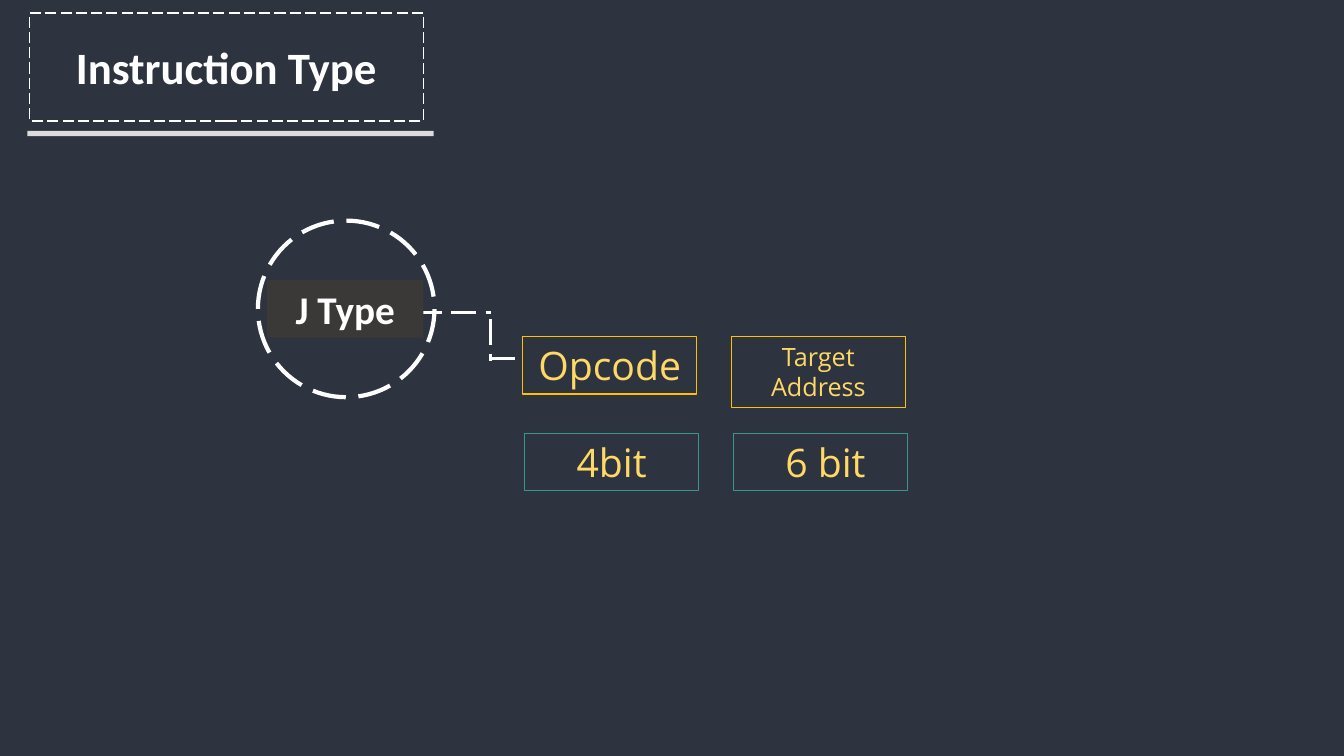
"""Build the instruction type slide: the fields of a J Type instruction."""
from lxml import etree
from pptx import Presentation
from pptx.dml.color import RGBColor
from pptx.enum.dml import MSO_LINE
from pptx.enum.shapes import MSO_CONNECTOR, MSO_SHAPE
from pptx.enum.text import MSO_ANCHOR, PP_ALIGN
from pptx.oxml.ns import qn
from pptx.util import Cm, Pt

RECT, OVAL = MSO_SHAPE.RECTANGLE, MSO_SHAPE.OVAL
STRAIGHT = MSO_CONNECTOR.STRAIGHT
LONG_DASH = MSO_LINE.LONG_DASH
TOP, MIDDLE = MSO_ANCHOR.TOP, MSO_ANCHOR.MIDDLE
CENTER = PP_ALIGN.CENTER

COLORS = {
    "background": "2D333F", "white": "FFFFFF", "label": "3B3838",
    "bar": "DBDBDB", "amber": "FFC000", "yellow": "FFD966", "teal": "3A968D",
}
HEADING = {"name": "Calibri", "size": Pt(32), "bold": True}
LABEL = {"name": "Calibri", "size": Pt(28), "bold": True}
FIELD = {"name": "Open Sans", "size": Pt(28), "bold": False}
SMALL_FIELD = {**FIELD, "size": Pt(18)}

TITLE = "Instruction Type"
TYPE_NAME = "J Type"
FIELDS = [
    ("Opcode", FIELD, 1.45, "4bit"),
    ("Target Address", SMALL_FIELD, 1.8, " 6 bit"),
]

FIELD_LEFT, FIELD_STEP, FIELD_WIDTH = 13.18, 5.26, 4.37
NAME_TOP, SIZE_TOP, SIZE_SHIFT, BOX_HEIGHT = 8.48, 10.92, 0.05, 1.45
ELBOW_X, ELBOW_TOP, ELBOW_BOTTOM = 12.37, 7.87, 9.04
ELBOW = [
    (ELBOW_X, 8.05, ELBOW_X, 9.09),
    (8.76, ELBOW_TOP, ELBOW_X, ELBOW_TOP),
    (ELBOW_X, ELBOW_BOTTOM, 12.98, ELBOW_BOTTOM),
]


def rgb(name):
    return RGBColor.from_string(COLORS[name])


def paint(shape, fill=None, line=None, width=0.75, dash=None):
    if fill:
        shape.fill.solid()
        shape.fill.fore_color.rgb = rgb(fill)
    else:
        shape.fill.background()
    if line:
        shape.line.color.rgb = rgb(line)
        shape.line.width = Pt(width)
        shape.line.dash_style = dash
    else:
        shape.line.fill.background()


def write(shape, text, font, color, anchor=TOP):
    tf = shape.text_frame
    tf.word_wrap = True
    tf.vertical_anchor = anchor
    p = tf.paragraphs[0]
    p.alignment = CENTER
    r = p.add_run()
    r.text = text
    for key, value in font.items():
        setattr(r.font, key, value)
    r.font.color.rgb = rgb(color)


def add_box(s, kind, place, **style):
    sp = s.shapes.add_shape(kind, *map(Cm, place))
    sp.shadow.inherit = False
    paint(sp, **style)
    return sp


def add_dash(s, ends):
    line = s.shapes.add_connector(STRAIGHT, *map(Cm, ends))
    line.line.color.rgb = rgb("white")
    line.line.width = Pt(2.25)
    line.line.dash_style = LONG_DASH
    etree.SubElement(line._element.spPr, qn("a:effectLst"))


def main():
    prs = Presentation()
    prs.slide_width, prs.slide_height = Cm(33.87), Cm(19.05)
    s = prs.slides.add_slide(prs.slide_layouts[5])
    s.background.fill.solid()
    s.background.fill.fore_color.rgb = rgb("background")

    title = s.shapes.title
    title.left, title.top, title.width, title.height = map(Cm, (0.74, 0.33, 9.93, 2.72))
    paint(title, line="white", width=1, dash=LONG_DASH)
    write(title, TITLE, HEADING, "white", MIDDLE)
    add_box(s, RECT, (0.69, 3.3, 10.24, 0.13), fill="bar")

    add_box(s, OVAL, (6.5, 5.56, 4.45, 4.45), line="white", width=3, dash=LONG_DASH)
    for ends in ELBOW:
        add_dash(s, ends)
    label = add_box(s, RECT, (6.73, 7.06, 3.94, BOX_HEIGHT), fill="label")
    write(label, TYPE_NAME, LABEL, "white")

    for i, (name, font, height, size) in enumerate(FIELDS):
        x = FIELD_LEFT + i * FIELD_STEP
        box = add_box(s, RECT, (x, NAME_TOP, FIELD_WIDTH, height), line="amber")
        write(box, name, font, "yellow")
        box = add_box(s, RECT, (x + SIZE_SHIFT, SIZE_TOP, FIELD_WIDTH, BOX_HEIGHT), line="teal")
        write(box, size, FIELD, "yellow")

    prs.save("out.pptx")


if __name__ == "__main__":
    main()
